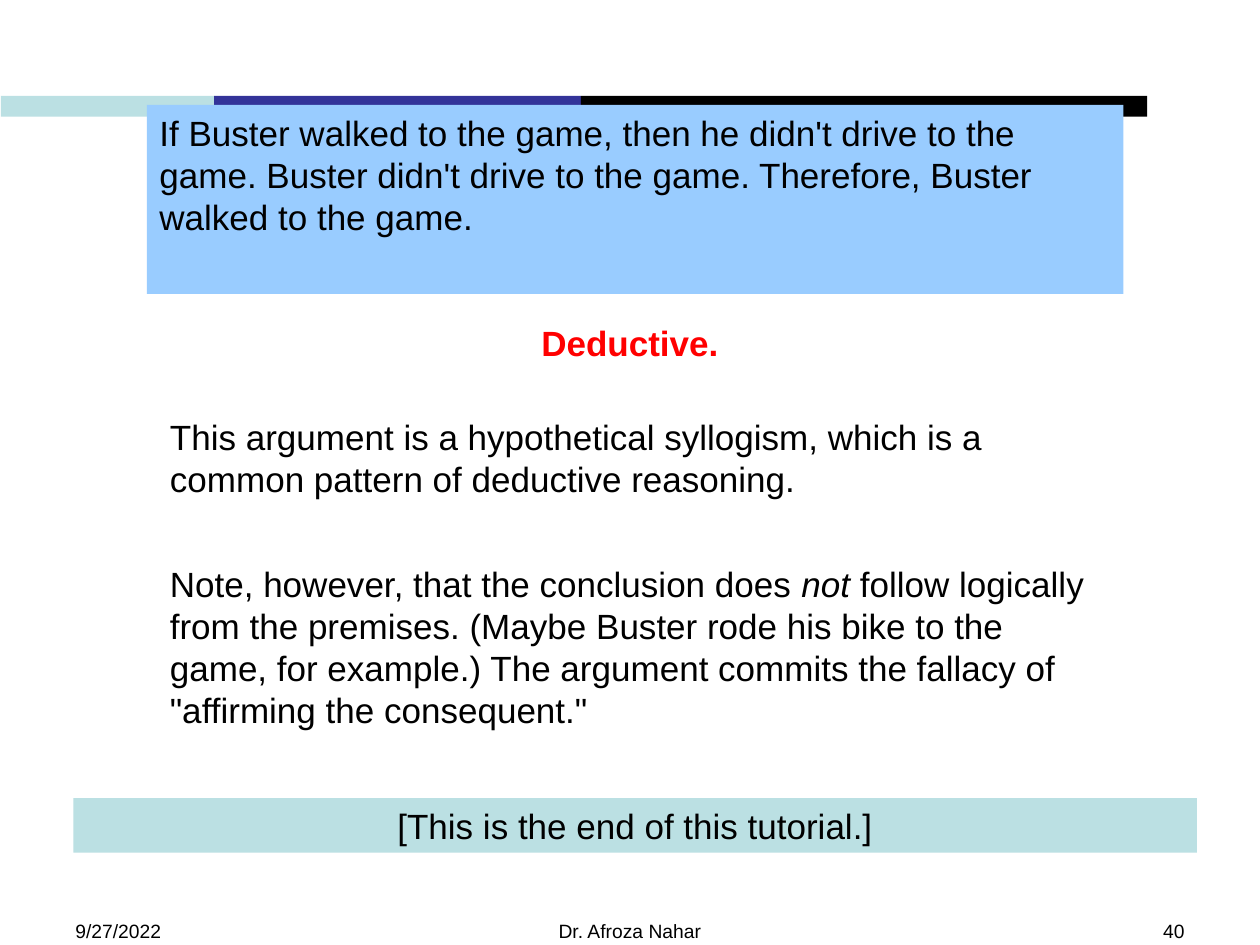
from pptx import Presentation
from pptx.dml.color import RGBColor
from pptx.enum.shapes import MSO_SHAPE
from pptx.enum.text import MSO_ANCHOR, MSO_AUTO_SIZE, PP_ALIGN
from pptx.util import Pt

BLACK = RGBColor(0x00, 0x00, 0x00)
RED = RGBColor(0xFF, 0x00, 0x00)
INDIGO = RGBColor(0x33, 0x33, 0x99)
SKY = RGBColor(0x99, 0xCC, 0xFF)
PALE_TEAL = RGBColor(0xBB, 0xE0, 0xE3)

FRAME = {
    "word_wrap": True,
    "auto_size": MSO_AUTO_SIZE.NONE,
    "vertical_anchor": MSO_ANCHOR.TOP,
    "margin_left": Pt(7.2),
    "margin_right": Pt(7.2),
    "margin_top": Pt(3.6),
    "margin_bottom": Pt(3.6),
}


def points(box):
    """Turn a box of numbers into lengths."""
    return [Pt(length) for length in box]


def write(holder, runs, align=PP_ALIGN.LEFT, **font_format):
    """Fill a text frame with one paragraph of (text, format) runs."""
    frame = holder.text_frame
    for name, value in FRAME.items():
        setattr(frame, name, value)
    paragraph = frame.paragraphs[0]
    paragraph.alignment = align
    for text, own_format in runs:
        run = paragraph.add_run()
        run.text = text
        run.font.color.rgb = BLACK
        formats = {"name": "Arial", "size": Pt(20), **font_format, **own_format}
        for name, value in formats.items():
            setattr(run.font, name, value)


def add_panel(slide, box, color):
    """Draw a plain filled rectangle."""
    panel = slide.shapes.add_shape(MSO_SHAPE.RECTANGLE, *points(box))
    panel.shadow.inherit = False
    panel.fill.solid()
    panel.fill.fore_color.rgb = color
    panel.line.fill.background()
    return panel


def add_stripe(slide, box):
    """Lay the three coloured bands side by side across the box."""
    left, top, width, height = box
    for color, share in ((PALE_TEAL, 0.186), (INDIGO, 0.32), (BLACK, 0.494)):
        add_panel(slide, (left, top, width * share, height), color)
        left += width * share


def add_footer(slide, box):
    """Place date, author and page number at left, centre and right."""
    left, top, width, height = box
    side, middle = 168, 228
    entries = (
        ("9/27/2022", left, side, PP_ALIGN.LEFT),
        ("Dr. Afroza Nahar", left + (width - middle) / 2, middle, PP_ALIGN.CENTER),
        ("40", left + width - side, side, PP_ALIGN.RIGHT),
    )
    for text, start, span, align in entries:
        entry = slide.shapes.add_textbox(*points((start, top, span, height)))
        write(entry, [(text, {})], align, size=Pt(11))


def add_verdict(slide, box):
    """Set the title placeholder as the red verdict."""
    verdict = slide.shapes.title
    verdict.left, verdict.top, verdict.width, verdict.height = points(box)
    write(verdict, [("Deductive.", {})], PP_ALIGN.CENTER, bold=True)
    verdict.text_frame.paragraphs[0].runs[0].font.color.rgb = RED


def add_explanation(slide, box):
    """Place the two explanatory passages at the top and bottom of the box."""
    left, top, width, height = box
    passages = (
        (top, 55.5, 528, [
            ("This argument is a hypothetical syllogism, which is a "
             "common pattern of deductive reasoning.", {}),
        ]),
        (top + height - 103, 103, width, [
            ("Note, however, that the conclusion does ", {}),
            ("not", {"italic": True}),
            (" follow logically from the premises. (Maybe Buster rode his "
             "bike to the game, for example.) The argument commits the "
             "fallacy of \"affirming the consequent.\"", {}),
        ]),
    )
    for start, depth, span, runs in passages:
        passage = slide.shapes.add_textbox(*points((left, start, span, depth)))
        write(passage, runs)


def build_slide(deck):
    """Assemble the tutorial's closing example."""
    slide = deck.slides.add_slide(deck.slide_layouts[5])
    add_stripe(slide, (0.5, 54.75, 655, 12))
    add_footer(slide, (36, 522, 648, 28.8))
    argument = add_panel(slide, (84, 60, 558, 108), SKY)
    write(argument, [(
        "If Buster walked to the game, then he didn't drive to the game. "
        "Buster didn't drive to the game. Therefore, Buster walked to the game.",
        {},
    )])
    closing = add_panel(slide, (42, 456, 642, 31.2), PALE_TEAL)
    write(closing, [("[This is the end of this tutorial.]", {})], PP_ALIGN.CENTER)
    add_explanation(slide, (90, 234, 546, 187))
    add_verdict(slide, (0, 180, 720, 31.2))


def main():
    """Build and save the deck."""
    deck = Presentation()
    deck.slide_width, deck.slide_height = Pt(720), Pt(540)
    build_slide(deck)
    deck.save("out.pptx")


if __name__ == "__main__":
    main()
